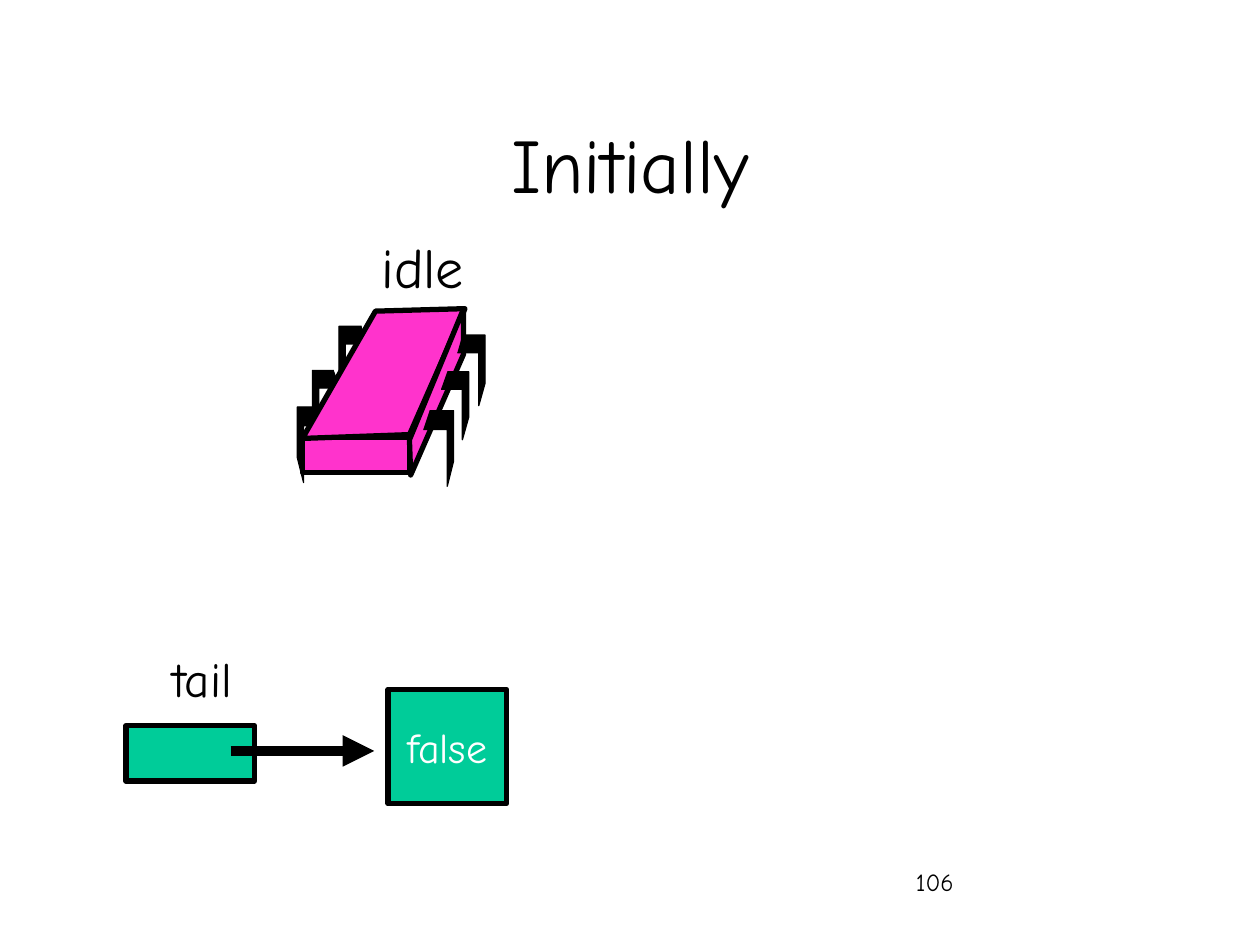
from lxml.etree import SubElement
from pptx import Presentation
from pptx.dml.color import RGBColor as RGB
from pptx.enum.shapes import MSO_CONNECTOR as LINK, MSO_SHAPE as SHAPE
from pptx.enum.text import MSO_ANCHOR as ANCHOR, MSO_AUTO_SIZE as FIT, PP_ALIGN as ALIGN
from pptx.oxml.ns import qn
from pptx.util import Pt

PX = 9144
FONT = "Comic Neue"
BLACK = RGB(0, 0, 0)
WHITE = RGB(255, 255, 255)
GREEN = RGB(0, 204, 153)
PINK = RGB(255, 51, 204)


def scale(*nums):
    return [n * PX for n in nums]


def write(shape, text, size, align, color=BLACK):
    frame = shape.text_frame
    frame.text = text
    para = frame.paragraphs[0]
    para.alignment = align
    para.font.name = FONT
    para.font.size = Pt(size)
    para.font.color.rgb = color
    return frame


def paint(shape, fill, width):
    shape.shadow.inherit = False
    shape.fill.solid()
    shape.fill.fore_color.rgb = fill
    shape.line.color.rgb = BLACK
    shape.line.width = Pt(width)


def label(shapes, box, text, size, align):
    frame = write(shapes.add_textbox(*scale(*box)), text, size, align)
    frame.word_wrap = False
    frame.auto_size = FIT.SHAPE_TO_FIT_TEXT


def block(shapes, box, fill):
    shape = shapes.add_shape(SHAPE.RECTANGLE, *scale(*box))
    paint(shape, fill, 3)
    return shape


def outline(shapes, points, fill, width, close):
    first, *rest = points
    path = shapes.build_freeform(*first, scale=PX)
    path.add_line_segments(rest, close=close)
    paint(path.convert_to_shape(), fill, width)


def leg(shapes, x, y, high, side):
    parts = [(0.8, 0), (0, 0), (0, 0.67), (0.22, 1), (0.22, 0.25), (1, 0.25)]
    reach = 0.4 * high * side
    points = [(x + round(a * reach), y + round(b * high)) for a, b in parts]
    outline(shapes, points, BLACK, 0.75, False)


def arrow(shapes, start, end):
    line = shapes.add_connector(LINK.STRAIGHT, *scale(*start, *end))
    line.line.color.rgb = BLACK
    line.line.width = Pt(6)
    SubElement(line.line._get_or_add_ln(), qn("a:tailEnd"), type="triangle")
    SubElement(line._element.spPr, qn("a:effectLst"))


def thread(shapes):
    group = shapes.add_group_shape().shapes
    block(group, (240, 347, 85, 28), PINK)
    for x, y, high in [(236, 323, 60), (248, 294, 54), (269, 259, 56)]:
        leg(group, x, y, high, 1)
    top = [(240, 348), (325, 345), (369, 245), (298, 247)]
    flank = [(368, 245), (368, 281), (326, 377), (325, 349)]
    for face in (top, flank):
        outline(group, face, PINK, 3, True)
    for x, y, high in [(360, 326, 60), (372, 295, 54), (385, 266, 56)]:
        leg(group, x, y, high, -1)
    label(group, (288, 180, 95, 63), "idle", 32, ALIGN.CENTER)


def main():
    deck = Presentation()
    deck.slide_width, deck.slide_height = scale(1000, 750)
    slide = deck.slides.add_slide(deck.slide_layouts[5])
    shapes = slide.shapes

    title = shapes.title
    title.left, title.top, title.width, title.height = scale(75, 67, 850, 125)
    write(title, "Initially", 44, ALIGN.CENTER).vertical_anchor = ANCHOR.MIDDLE

    page = shapes.add_textbox(*scale(717, 683, 208, 50))
    write(page, "106", 14, ALIGN.LEFT).word_wrap = True

    node = block(shapes, (308, 547, 94, 91), GREEN)
    frame = write(node, "false", 24, ALIGN.CENTER, WHITE)
    frame.vertical_anchor = ANCHOR.MIDDLE
    frame.word_wrap = False
    block(shapes, (100, 576, 102, 44), GREEN)
    arrow(shapes, (183, 596), (297, 596))
    label(shapes, (114, 510, 80, 57), "tail", 28, ALIGN.RIGHT)

    thread(shapes)
    deck.save("out.pptx")


if __name__ == "__main__":
    main()
